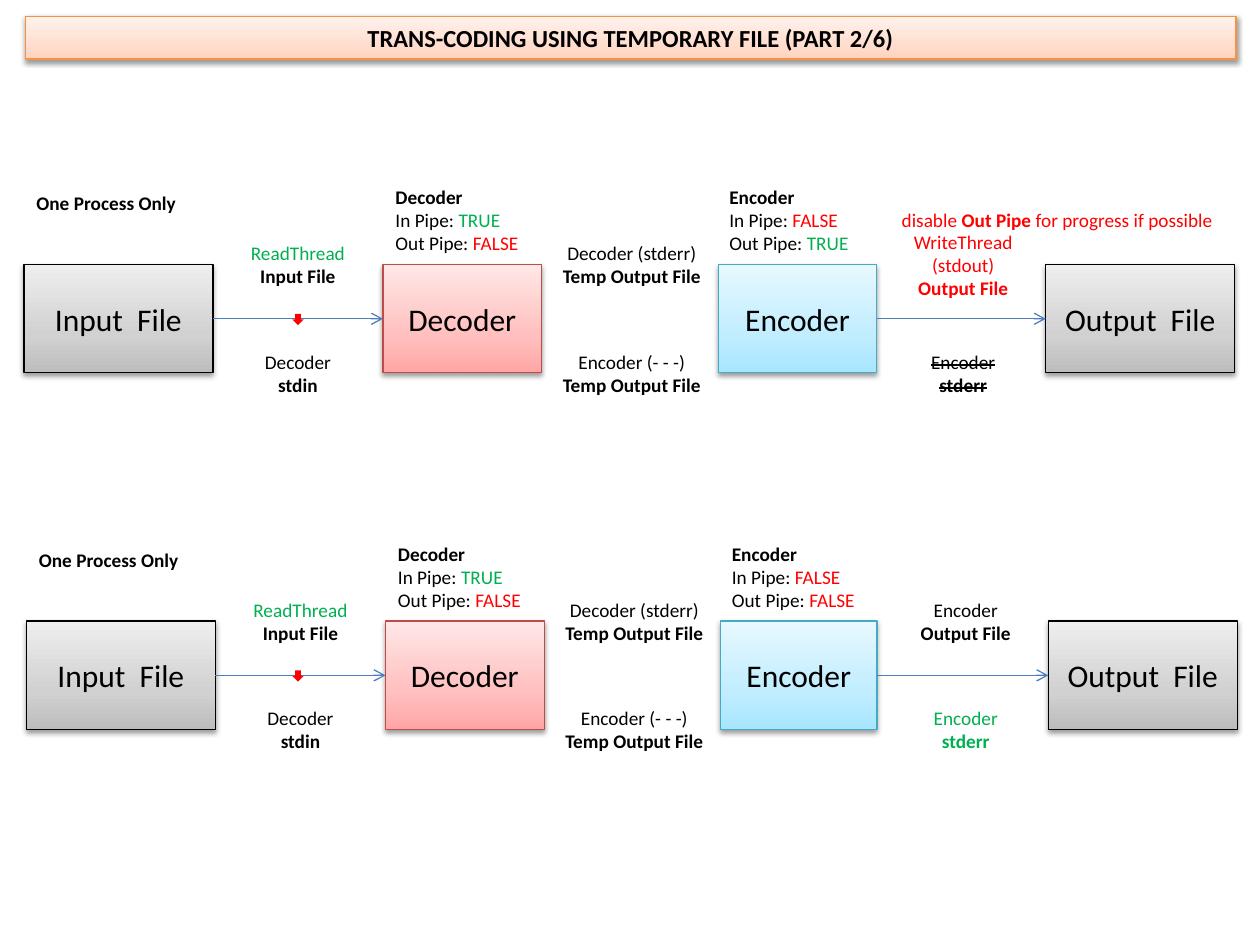
from copy import deepcopy

from lxml.etree import SubElement
from pptx import Presentation
from pptx.dml.color import RGBColor
from pptx.enum.shapes import MSO_CONNECTOR, MSO_SHAPE
from pptx.enum.text import MSO_ANCHOR, PP_ALIGN
from pptx.oxml.ns import qn
from pptx.util import Pt

PX = 9144  # 100 px to the inch
COLORS = {
    "black": "000000", "red": "FF0000", "green": "00B050", "connector": "4B7EBC",
}
# Gradient stops from bottom to top, and the outline
THEMES = {
    "gray": (("BDBDBD", "D1D1D1", "EEEEEE"), "000000"),
    "red": (("FFA6A5", "FFC0BF", "FFE7E7"), "BF4C48"),
    "blue": (("A7E6FF", "C1EDFF", "E7F8FF"), "46AAC5"),
    "orange": (("FFD2BD", "FFDED0", "FFF2ED"), "F69240"),
}
STOP_POSITIONS = (0, 0.35, 1)
BOX_TOP, BOX_HEIGHT = 71, 86
AXIS = BOX_TOP + BOX_HEIGHT // 2
LABEL_WIDTH = 137


def scaled(*lengths):
    return [length * PX for length in lengths]


def rgb(name):
    return RGBColor.from_string(COLORS.get(name, name))


def write_text(shape, paragraphs, size=11, align=PP_ALIGN.CENTER, anchor=MSO_ANCHOR.MIDDLE):
    """Fill a shape with paragraphs, each a list of (text, format values) runs."""
    frame = shape.text_frame
    frame.word_wrap = True
    frame.vertical_anchor = anchor
    for index, runs in enumerate(paragraphs):
        paragraph = frame.paragraphs[0] if index == 0 else frame.add_paragraph()
        paragraph.alignment = align
        for text, values in runs:
            run = paragraph.add_run()
            run.text = text
            values = {"name": "Calibri", "size": Pt(size), "color": "black", **values}
            run.font.color.rgb = rgb(values.pop("color"))
            if values.pop("strike", False):
                run.font._element.set("strike", "sngStrike")
            for name, value in values.items():
                setattr(run.font, name, value)


def add_label(slide, box, paragraphs, align=PP_ALIGN.CENTER):
    shape = slide.shapes.add_textbox(*scaled(*box))
    write_text(shape, paragraphs, align=align)


def add_shadow(shape):
    shape.shadow.inherit = False
    effects = shape._element.spPr.find(qn("a:effectLst"))
    shadow = SubElement(effects, qn("a:outerShdw"), blurRad=str(Pt(3.1)),
                        dist=str(Pt(1.6)), dir="5400000", rotWithShape="0")
    color = SubElement(shadow, qn("a:srgbClr"), val=COLORS["black"])
    SubElement(color, qn("a:alpha"), val="38000")


def add_gradient_box(slide, box, theme):
    shape = slide.shapes.add_shape(MSO_SHAPE.RECTANGLE, *scaled(*box))
    stop_colors, outline = THEMES[theme]
    shape.fill.gradient()
    shape.fill.gradient_angle = 90
    stop_list = shape._element.spPr.find(".//" + qn("a:gsLst"))
    stop_list.append(deepcopy(stop_list[0]))
    for stop, color, position in zip(shape.fill.gradient_stops, stop_colors, STOP_POSITIONS):
        stop.color.rgb = rgb(color)
        stop.position = position
    shape.line.color.rgb = rgb(outline)
    shape.line.width = Pt(0.75)
    add_shadow(shape)
    return shape


def add_arrow(slide, start, end, y):
    arrow = slide.shapes.add_connector(MSO_CONNECTOR.STRAIGHT, *scaled(start, y, end, y))
    arrow.line.color.rgb = rgb("connector")
    arrow.line.width = Pt(0.75)
    SubElement(arrow.line._get_or_add_ln(), qn("a:tailEnd"), type="arrow")
    SubElement(arrow._element.spPr, qn("a:effectLst"))


def add_marker(slide, left, top):
    marker = slide.shapes.add_shape(MSO_SHAPE.DOWN_ARROW, *scaled(left, top, 9, 9))
    marker.fill.solid()
    marker.fill.fore_color.rgb = rgb("red")
    marker.line.fill.background()
    marker.shadow.inherit = False


def add_title(slide, box, text):
    shape = add_gradient_box(slide, box, "orange")
    write_text(shape, [[(text, {"bold": True})]], size=14, anchor=MSO_ANCHOR.TOP)


def stacked(first, second, first_format=None, second_format=None):
    """Give a plain line above a bold one."""
    return [[(first, first_format or {})], [(second, {"bold": True, **(second_format or {})})]]


def pipe_states(name, in_pipe, out_pipe):
    lines = [[(name, {"bold": True})]]
    for label, is_open in (("In Pipe: ", in_pipe), ("Out Pipe: ", out_pipe)):
        state = ("TRUE", {"color": "green"}) if is_open else ("FALSE", {"color": "red"})
        lines.append([(label, {}), state])
    return lines


def add_pipeline(slide, left, top, encoder_width, encoder_out, output_above, output_below):
    """Draw input, decoder, encoder and output with their labels from a top left corner."""
    boxes = (
        ("Input  File", 0, 150, "gray"),
        ("Decoder", 285, 126, "red"),
        ("Encoder", 551, encoder_width, "blue"),
        ("Output  File", 811, 150, "gray"),
    )
    for text, x, width, theme in boxes:
        shape = add_gradient_box(slide, (left + x, top + BOX_TOP, width, BOX_HEIGHT), theme)
        write_text(shape, [[(text, {})]], size=18)
    for (_, x, width, _), (_, next_x, _, _) in (boxes[:2], boxes[2:]):
        add_arrow(slide, left + x + width, left + next_x, top + AXIS)
    add_marker(slide, 232, top + AXIS - 4)

    add_label(slide, (left, top, 285, 44), [[("One Process Only", {"bold": True})]],
              PP_ALIGN.LEFT)
    for x, states in ((285, pipe_states("Decoder", True, False)),
                      (550, pipe_states("Encoder", False, encoder_out))):
        add_label(slide, (left + x, top, 128, BOX_TOP), states, PP_ALIGN.LEFT)

    columns = (
        (149, stacked("ReadThread", "Input File", {"color": "green"}),
         stacked("Decoder", "stdin")),
        (414, stacked("Decoder (stderr)", "Temp Output File"),
         stacked("Encoder (- - -)", "Temp Output File")),
        (677, output_above, output_below),
    )
    for x, above, below in columns:
        add_label(slide, (left + x, top + AXIS - 86, LABEL_WIDTH, 86), above)
        add_label(slide, (left + x, top + AXIS, LABEL_WIDTH, 86), below)


def main():
    presentation = Presentation()
    presentation.slide_width, presentation.slide_height = scaled(1000, 750)
    slide = presentation.slides.add_slide(presentation.slide_layouts[6])
    red, green, strike = {"color": "red"}, {"color": "green"}, {"strike": True}

    add_title(slide, (20, 13, 961, 34), "TRANS-CODING USING TEMPORARY FILE (PART 2/6)")
    add_pipeline(slide, 19, 139, 126, True,
                 stacked("WriteThread (stdout)", "Output File", red, red),
                 stacked("Encoder", "stderr", strike, strike))
    add_label(slide, (698, 153, 282, 43), [[
        ("disable ", red), ("Out Pipe", {"bold": True, **red}),
        (" for progress if possible", red),
    ]])
    add_pipeline(slide, 21, 422, 124, False,
                 stacked("Encoder", "Output File"),
                 stacked("Encoder", "stderr", green, green))
    presentation.save("out.pptx")


if __name__ == "__main__":
    main()
